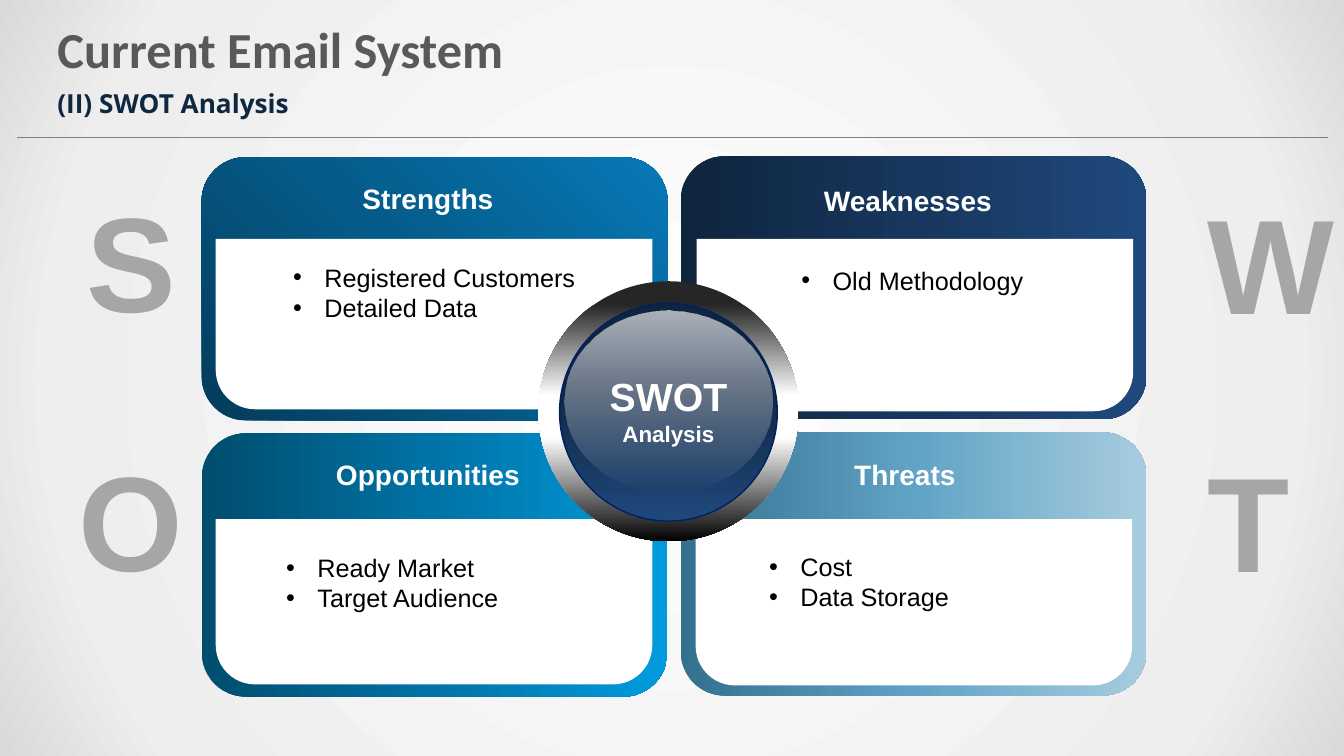
from dataclasses import dataclass

from pptx import Presentation
from pptx.dml.color import RGBColor
from pptx.enum.shapes import MSO_CONNECTOR, MSO_SHAPE
from pptx.enum.text import MSO_ANCHOR, MSO_AUTO_SIZE, PP_ALIGN
from pptx.oxml import parse_xml
from pptx.oxml.ns import nsdecls, qn
from pptx.util import Emu, Pt

PX = 9144  # EMU, 100 px to the inch

WHITE = RGBColor(0xFF, 0xFF, 0xFF)
BLACK = RGBColor(0x00, 0x00, 0x00)
PALE = RGBColor(0xEE, 0xEE, 0xEE)
SILVER = RGBColor(0xD9, 0xD9, 0xD9)
LETTER_GREY = RGBColor(0xA6, 0xA6, 0xA6)
RULE_GREY = RGBColor(0x80, 0x80, 0x80)
TITLE_GREY = RGBColor(0x59, 0x59, 0x59)
CHARCOAL = RGBColor(0x26, 0x26, 0x26)
INK = RGBColor(0x0F, 0x27, 0x41)
NAVY = RGBColor(0x0F, 0x24, 0x3E)
NAVY_MID = RGBColor(0x17, 0x37, 0x5E)
NAVY_LIGHT = RGBColor(0x1F, 0x49, 0x7D)
NAVY_EDGE = RGBColor(0x00, 0x20, 0x60)
OCEAN = RGBColor(0x04, 0x3C, 0x5C)
OCEAN_MID = RGBColor(0x05, 0x5B, 0x89)
OCEAN_LIGHT = RGBColor(0x07, 0x79, 0xB7)
AZURE = RGBColor(0x00, 0x4D, 0x6E)
AZURE_MID = RGBColor(0x01, 0x73, 0xA6)
AZURE_LIGHT = RGBColor(0x01, 0x9A, 0xDD)
STEEL = RGBColor(0x34, 0x70, 0x8F)
STEEL_MID = RGBColor(0x60, 0xA3, 0xC5)
STEEL_LIGHT = RGBColor(0xA7, 0xCC, 0xDF)

CARD_SIZE = (462, 261)
LETTER_SIZE = (94, 172)
HEADING_SIZE = (357, 44)
PANEL_WIDTH = 433
PANEL_RADIUS = 39
BULLET_INDENT = 31


@dataclass(frozen=True)
class Stop:
    percent: int
    color: RGBColor
    alpha: int = 100


@dataclass(frozen=True)
class Card:
    letter: str
    heading: str
    points: tuple[str, ...]
    stops: tuple[Stop, ...]
    angle: int
    corner: tuple[int, int]
    letter_at: tuple[int, int]
    heading_at: tuple[int, int]
    panel: tuple[int, int, int]  # left, top, height
    points_box: tuple[int, int, int]  # left, top, width


@dataclass(frozen=True)
class Disc:
    box: tuple[int, int, int, int]
    stops: tuple[Stop, ...]
    outline: RGBColor | None = None


CARDS = (
    Card("S", "Strengths", ("Registered Customers", "Detailed Data"),
         (Stop(0, OCEAN), Stop(50, OCEAN_MID), Stop(100, OCEAN_LIGHT)), 315,
         (200, 156), (76, 172), (246, 175), (214, 237, 169), (281, 255, 357)),
    Card("W", "Weaknesses", ("Old Methodology",),
         (Stop(0, NAVY), Stop(50, NAVY_MID), Stop(100, NAVY_LIGHT)), 0,
         (675, 155), (1188, 174), (722, 177), (691, 237, 171), (785, 258, 291)),
    Card("T", "Threats", ("Cost", "Data Storage"),
         (Stop(0, STEEL), Stop(50, STEEL_MID), Stop(100, STEEL_LIGHT)), 0,
         (675, 429), (1188, 430), (719, 449), (690, 515, 165), (753, 542, 291)),
    Card("O", "Opportunities", ("Ready Market", "Target Audience"),
         (Stop(0, AZURE), Stop(50, AZURE_MID), Stop(99, AZURE_LIGHT)), 0,
         (200, 430), (68, 429), (246, 449), (214, 515, 164), (274, 543, 291)),
)

DISCS = (
    Disc((534, 279, 258, 258),
         (Stop(9, CHARCOAL), Stop(44, WHITE), Stop(60, WHITE), Stop(100, BLACK))),
    Disc((555, 301, 216, 216),
         (Stop(35, NAVY), Stop(70, NAVY_MID), Stop(100, NAVY_LIGHT)), NAVY_EDGE),
    Disc((560, 308, 206, 181), (Stop(0, WHITE, 65), Stop(100, WHITE, 0))),
)


def px(*lengths: int) -> list[Emu]:
    return [Emu(length * PX) for length in lengths]


def set_gradient(fill, owner, stops: tuple[Stop, ...], angle: int | None) -> None:
    """Fill with a linear gradient, or a circular one when angle is None."""
    fill.gradient()
    stop_xml = "".join(
        f'<a:gs pos="{stop.percent * 1000}"><a:srgbClr val="{stop.color}">'
        f'<a:alpha val="{stop.alpha * 1000}"/></a:srgbClr></a:gs>'
        for stop in stops)
    if angle is None:
        shade = ('<a:path path="circle"><a:fillToRect l="50000" t="50000" '
                 'r="50000" b="50000"/></a:path>')
    else:
        shade = f'<a:lin ang="{angle * 60000}" scaled="0"/>'
    gradient = parse_xml(f'<a:gradFill {nsdecls("a")} rotWithShape="1">'
                         f"<a:gsLst>{stop_xml}</a:gsLst>{shade}</a:gradFill>")
    previous = owner.find(".//" + qn("a:gradFill"))
    previous.getparent().replace(previous, gradient)


def add_plain_shape(shapes, kind: MSO_SHAPE, box: tuple[int, ...]):
    shape = shapes.add_shape(kind, *px(*box))
    shape.shadow.inherit = False
    shape.line.fill.background()
    return shape


def format_font(font, name: str, size: float, color: RGBColor, bold: bool) -> None:
    font.name, font.size, font.bold = name, Pt(size), bold
    font.color.rgb = color


def add_text(shapes, box: tuple[int, ...], lines: tuple[str, ...],
             sizes: tuple[float, ...], color: RGBColor = WHITE, name: str = "Arial",
             bold: bool = True, align: PP_ALIGN = PP_ALIGN.CENTER, grow: bool = True):
    text_box = shapes.add_textbox(*px(*box))
    frame = text_box.text_frame
    frame.word_wrap = True
    if grow:
        frame.auto_size = MSO_AUTO_SIZE.SHAPE_TO_FIT_TEXT
    frame.text = "\n".join(lines)
    for para, size in zip(frame.paragraphs, sizes):
        para.alignment = align
        for span in para.runs:
            format_font(span.font, name, size, color, bold)
    return text_box


def add_bullets(shapes, card: Card) -> None:
    count = len(card.points)
    text_box = add_text(shapes, (*card.points_box, 10 + 30 * count), card.points,
                        (18,) * count, BLACK, bold=False, align=PP_ALIGN.LEFT)
    for para in text_box.text_frame.paragraphs:
        properties = para._p.get_or_add_pPr()
        properties.set("marL", str(BULLET_INDENT * PX))
        properties.set("indent", str(-BULLET_INDENT * PX))
        properties.append(parse_xml(f'<a:buFont {nsdecls("a")} typeface="Arial"/>'))
        properties.append(parse_xml(f'<a:buChar {nsdecls("a")} char="•"/>'))


def add_card(shapes, card: Card) -> None:
    add_text(shapes, card.letter_at + LETTER_SIZE, (card.letter,), (96,), LETTER_GREY)
    frame = add_plain_shape(shapes, MSO_SHAPE.ROUNDED_RECTANGLE, card.corner + CARD_SIZE)
    set_gradient(frame.fill, frame.element, card.stops, card.angle)
    left, top, height = card.panel
    panel = add_plain_shape(shapes, MSO_SHAPE.ROUND_2_SAME_RECTANGLE,
                            (left, top, PANEL_WIDTH, height))
    panel.adjustments[0] = 0
    panel.adjustments[1] = PANEL_RADIUS / height
    panel.fill.solid()
    panel.fill.fore_color.rgb = WHITE
    add_bullets(shapes, card)
    add_text(shapes, card.heading_at + HEADING_SIZE, (card.heading,), (20,))


def add_badge(slide) -> None:
    badge = slide.shapes.add_group_shape().shapes
    for disc in DISCS:
        shape = add_plain_shape(badge, MSO_SHAPE.OVAL, disc.box)
        set_gradient(shape.fill, shape.element, disc.stops, 90)
        if disc.outline is not None:
            shape.line.color.rgb = disc.outline
            shape.line.width = Pt(1)
    label = add_text(badge, (578, 363, 170, 87), ("SWOT", "Analysis"), (28, 16))
    label.text_frame.vertical_anchor = MSO_ANCHOR.MIDDLE


def add_header(slide) -> None:
    title = slide.shapes.title
    title.left, title.top, title.width, title.height = px(47, 9, 1200, 78)
    frame = title.text_frame
    frame.text = "Current Email System"
    frame.vertical_anchor = MSO_ANCHOR.MIDDLE
    para = frame.paragraphs[0]
    para.alignment = PP_ALIGN.LEFT
    format_font(para.runs[0].font, "Calibri", 36, TITLE_GREY, True)
    add_text(slide.shapes, (47, 82, 1200, 56), ("(II) SWOT Analysis",), (18.7,), INK,
             "Open Sans", align=PP_ALIGN.LEFT, grow=False)
    rule = slide.shapes.add_connector(MSO_CONNECTOR.STRAIGHT, *px(17, 136, 1317, 136))
    rule.line.color.rgb = RULE_GREY
    rule.line.width = Pt(0.75)
    rule.element.spPr.append(parse_xml(f'<a:effectLst {nsdecls("a")}/>'))


def main() -> None:
    deck = Presentation()
    deck.slide_width, deck.slide_height = px(1333, 750)
    slide = deck.slides.add_slide(deck.slide_layouts[5])
    set_gradient(slide.background.fill, slide.element,
                 (Stop(0, WHITE), Stop(81, PALE), Stop(100, SILVER)), None)
    for card in CARDS:
        add_card(slide.shapes, card)
    add_badge(slide)
    add_header(slide)
    deck.save("out.pptx")


if __name__ == "__main__":
    main()
